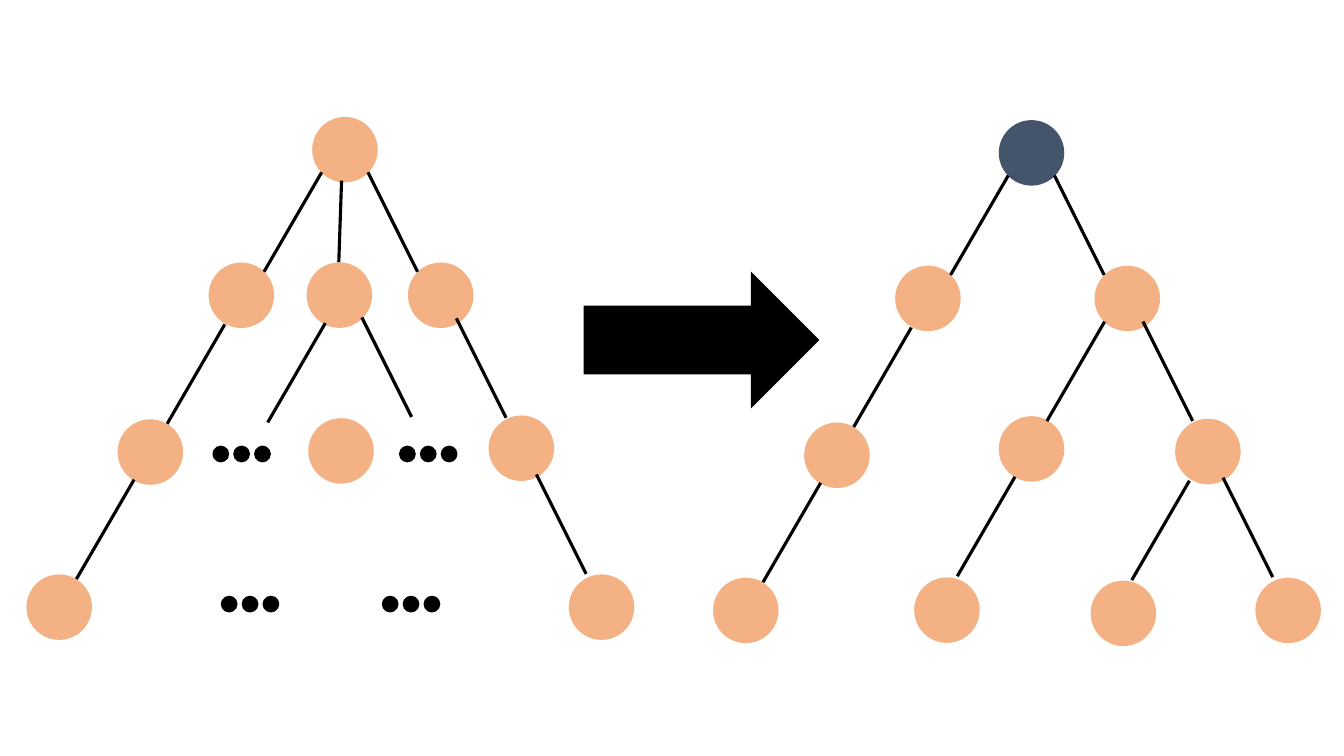
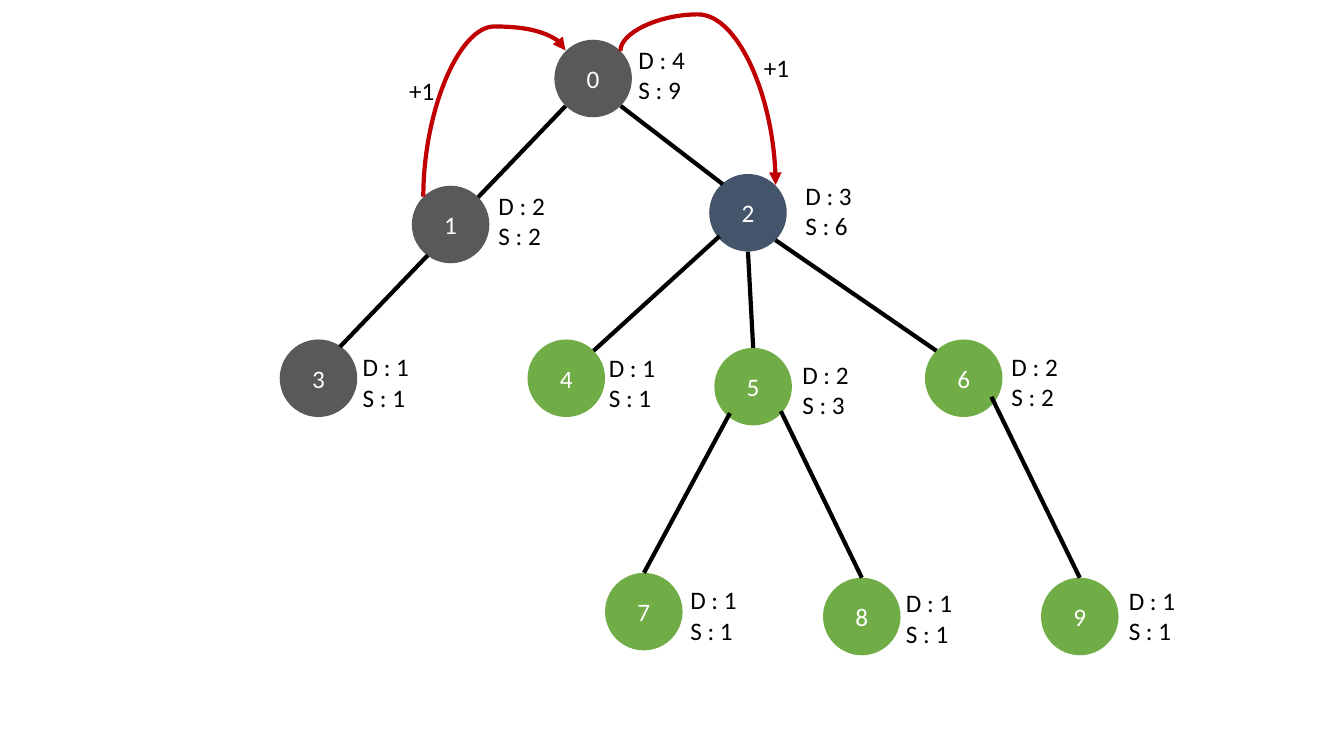
from pptx import Presentation
from pptx.dml.color import RGBColor
from pptx.enum.shapes import MSO_CONNECTOR, MSO_SHAPE
from pptx.enum.text import MSO_ANCHOR, MSO_AUTO_SIZE, PP_ALIGN
from pptx.oxml.ns import qn
from pptx.util import Pt
from lxml.etree import SubElement

BLACK, WHITE, RED = "000000", "FFFFFF", "C00000"
NAVY, PEACH, GRAY, GREEN = "44546A", "F4B183", "595959", "70AD47"
FONT = "Calibri"


def add_block(slide, text, left, top, width, height, *, form=None, fill=None,
              color=BLACK, size=18, align=PP_ALIGN.LEFT):
    box = [Pt(length) for length in (left, top, width, height)]
    if form is None:
        block = slide.shapes.add_textbox(*box)
        block.text_frame.word_wrap = False
        block.text_frame.auto_size = MSO_AUTO_SIZE.SHAPE_TO_FIT_TEXT
    else:
        block = slide.shapes.add_shape(form, *box)
        block.shadow.inherit = False
        block.fill.solid()
        block.fill.fore_color.rgb = RGBColor.from_string(fill)
        block.line.fill.background()
        block.text_frame.vertical_anchor = MSO_ANCHOR.MIDDLE
    if text:
        block.text_frame.text = text
        for paragraph in block.text_frame.paragraphs:
            paragraph.alignment = align
            paragraph.font.name = FONT
            paragraph.font.size = Pt(size)
            paragraph.font.color.rgb = RGBColor.from_string(color)


def add_edge(slide, x1, y1, x2, y2, *, weight, color=BLACK, kind=MSO_CONNECTOR.STRAIGHT):
    edge = slide.shapes.add_connector(kind, Pt(x1), Pt(y1), Pt(x2), Pt(y2))
    edge.line.width = Pt(weight)
    edge.line.color.rgb = RGBColor.from_string(color)
    SubElement(edge._element.spPr, qn("a:effectLst"))
    return edge


deck = Presentation()
deck.slide_width, deck.slide_height = Pt(960), Pt(540)
blank = deck.slide_layouts[6]

conversion = deck.slides.add_slide(blank)
NODE, DOT, DOT_STEP = 46.8, 12, 14.9
LEFT_BRANCH, RIGHT_BRANCH = (-41.2, 71), (35.5, 71)

outline_nodes = [(223, 83.5), (149, 187.5), (291.4, 187.5), (84, 299.5),
                 (349, 296.8), (406.3, 410.3), (18.9, 410.3)]
outline_left = [(229.8, 123.1), (160.6, 231.7), (95.8, 342.6)]
outline_right = [(262.8, 123.1), (326, 227.4), (383.2, 338.9)]

trees = [
    (0, 0, PEACH, [(220.2, 298.7), (219, 187.4)], [(232.4, 230.8)], [(258.5, 226.8)]),
    (490.4, 2.3, NAVY, [(713.4, 297.3), (653, 412.4), (779, 414.7)],
     [(789, 229.8), (725, 340.6), (849.6, 343.4)], []),
]
for dx, dy, root_fill, inner_nodes, inner_left, inner_right in trees:
    nodes = [(x + dx, y + dy) for x, y in outline_nodes] + inner_nodes
    for index, (x, y) in enumerate(nodes):
        add_block(conversion, "", x, y, NODE, NODE, form=MSO_SHAPE.OVAL,
                  fill=PEACH if index else root_fill)
    for outline, inner, (run, drop) in [(outline_left, inner_left, LEFT_BRANCH),
                                        (outline_right, inner_right, RIGHT_BRANCH)]:
        for x, y in [(x + dx, y + dy) for x, y in outline] + inner:
            add_edge(conversion, x, y, x + run, y + drop, weight=2.25)
add_edge(conversion, 244, 129, 242, 187.2, weight=2.25)

for left, top in [(151.7, 318.3), (285, 318.3), (157.7, 425.5), (272.7, 425.5)]:
    for position in range(3):
        add_block(conversion, "", left + position * DOT_STEP, top, DOT, DOT,
                  form=MSO_SHAPE.OVAL, fill=BLACK)
add_block(conversion, "", 416.9, 193.9, 168.4, 98, form=MSO_SHAPE.RIGHT_ARROW, fill=BLACK)

rerooting = deck.slides.add_slide(blank)
VERTEX = 55.4
vertices = [
    (396, 28.4, GRAY, 4, 9, 449, 28.1),
    (294.2, 132.7, GRAY, 2, 2, 349, 132.5),
    (506.6, 124.3, NAVY, 3, 6, 568.2, 125.3),
    (199.8, 242.5, GRAY, 1, 1, 252, 247.6),
    (376.8, 242.5, GREEN, 1, 1, 427.8, 247.9),
    (510.3, 248.5, GREEN, 2, 3, 566, 252.8),
    (660.7, 242.5, GREEN, 2, 2, 715.4, 247.5),
    (432.2, 409.2, GREEN, 1, 1, 486, 414.1),
    (587.9, 412.7, GREEN, 1, 1, 640, 416.2),
    (743.6, 412.7, GREEN, 1, 1, 799.2, 414.4),
]
for number, (x, y, fill, depth, subtree, label_x, label_y) in enumerate(vertices):
    add_block(rerooting, str(number), x, y, VERTEX, VERTEX, form=MSO_SHAPE.OVAL,
              fill=fill, color=WHITE, align=PP_ALIGN.CENTER)
    add_block(rerooting, f"D : {depth}\nS : {subtree}", label_x, label_y, 48.2, 50.9)

for ends in [
    (404, 75.7, 341.5, 140.9), (305.6, 182.3, 242.8, 247.8), (443.4, 75.7, 516.3, 131.6),
    (553.9, 171.5, 668.9, 250.6), (514, 168.7, 424, 250.6), (534.3, 179.8, 538, 248.5),
    (521.4, 295.1, 460, 409.2), (557.8, 293.7, 615.6, 412.7), (708.2, 283.5, 771.3, 412.7),
]:
    add_edge(rerooting, *ends, weight=3)

for ends, degrees, bend in [((405.3, 139, 300.9, 37.5), 90, 1.164),
                            ((546.5, 28.8, 450.7, 139.7), 270, -0.272)]:
    update = add_edge(rerooting, *ends, weight=3, color=RED, kind=MSO_CONNECTOR.CURVE)
    properties = update._element.spPr
    properties.find(qn("a:xfrm")).set("rot", str(degrees * 60000))
    adjustments = properties.find(qn("a:prstGeom")).find(qn("a:avLst"))
    SubElement(adjustments, qn("a:gd"), name="adj1", fmla=f"val {round(bend * 100000)}")
    SubElement(properties.find(qn("a:ln")), qn("a:tailEnd"), type="triangle")

for x, y in [(285.1, 50.4), (538.6, 33.8)]:
    add_block(rerooting, "+1", x, y, 33.1, 29.1)

deck.save("out.pptx")
